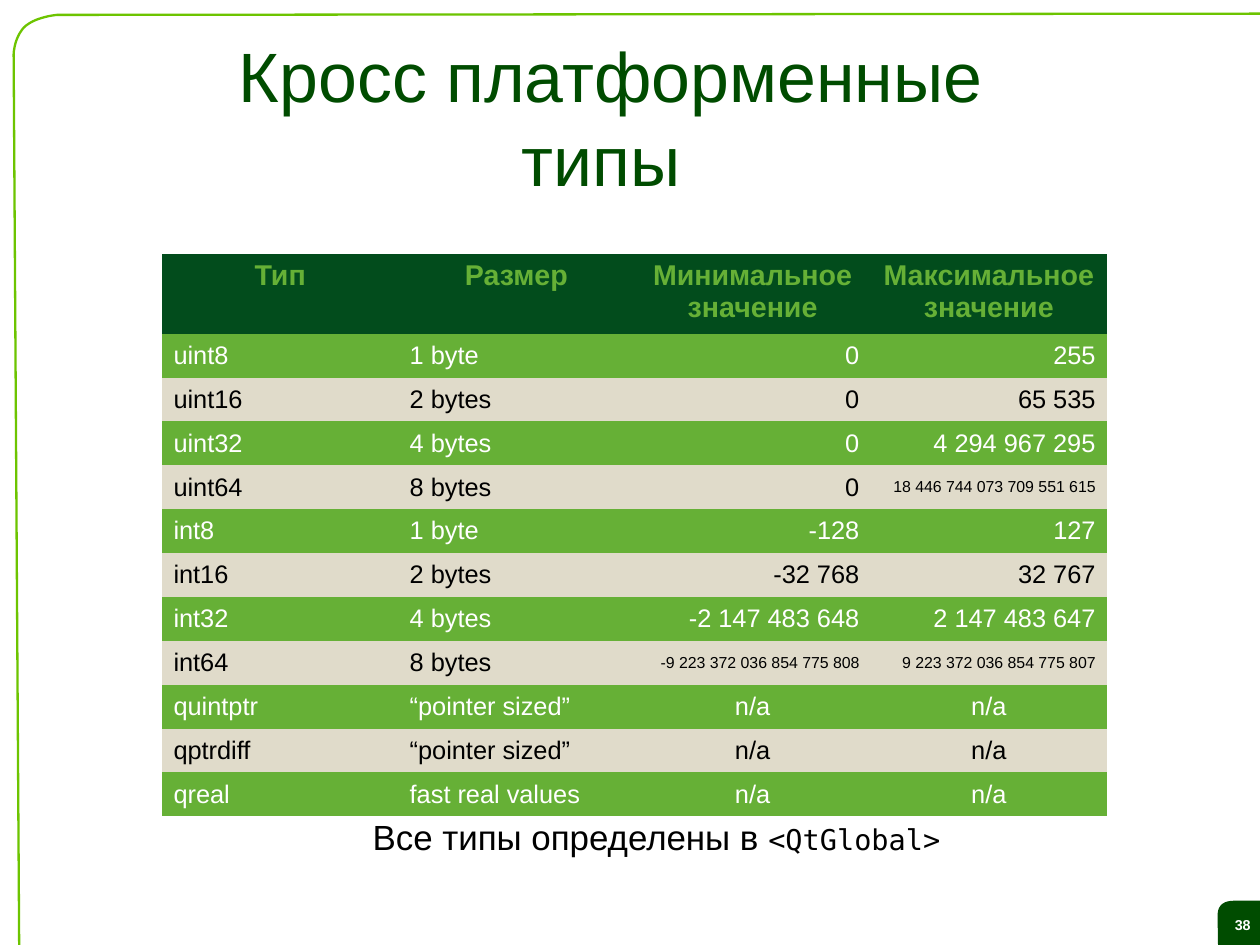
from pptx import Presentation
from pptx.dml.color import RGBColor
from pptx.enum.text import MSO_ANCHOR, MSO_AUTO_SIZE, PP_ALIGN
from pptx.oxml.ns import qn
from pptx.util import Pt

PINE = RGBColor(0x00, 0x4C, 0x00)
LIME = RGBColor(0x6D, 0xC4, 0x00)
DARK = RGBColor(0x02, 0x4C, 0x1C)
GREEN = RGBColor(0x66, 0xB0, 0x36)
SAND = RGBColor(0xE0, 0xDB, 0xCA)
WHITE = RGBColor(0xFF, 0xFF, 0xFF)
BLACK = RGBColor(0x00, 0x00, 0x00)
SANS, MONO = "Arial", "DejaVu Sans Mono"
LEFT, MID, RIGHT = PP_ALIGN.LEFT, PP_ALIGN.CENTER, PP_ALIGN.RIGHT

WIDE, HIGH = 793.7, 595.28
TITLE = " Кросс платформенные типы"
PAGE = "38"
HEADS = ("Тип", "Размер", "Минимальное значение", "Максимальное значение")
TYPES = (
    ("uint8", "1 byte", "0", "255"),
    ("uint16", "2 bytes", "0", "65 535"),
    ("uint32", "4 bytes", "0", "4 294 967 295"),
    ("uint64", "8 bytes", "0", "18 446 744 073 709 551 615"),
    ("int8", "1 byte", "-128", "127"),
    ("int16", "2 bytes", "-32 768", "32 767"),
    ("int32", "4 bytes", "-2 147 483 648", "2 147 483 647"),
    ("int64", "8 bytes", "-9 223 372 036 854 775 808", "9 223 372 036 854 775 807"),
    ("quintptr", "“pointer sized”", "n/a", "n/a"),
    ("qptrdiff", "“pointer sized”", "n/a", "n/a"),
    ("qreal", "fast real values", "n/a", "n/a"),
)
NOTE = ((" Все типы определены в ", 22, SANS), ("<QtGlobal>", 18, MONO))
TITLE_BOX = (120.8, 23.8, 516.2, 99.4)
TABLE_BOX = (102.1, 159.8, 595.2, 354.6)
NOTE_BOX = (170, 510.3, 481, 31.7)
HEAD_ROW, ROW = 50.4, 27.65


def add_run(para, text, size, color, font=SANS, bold=False):
    run = para.add_run()
    run.text = text
    run.font.size = Pt(size)
    run.font.name = font
    run.font.bold = bold
    run.font.color.rgb = color


def set_pads(item, left, top, right, base):
    item.margin_left, item.margin_top = Pt(left), Pt(top)
    item.margin_right, item.margin_bottom = Pt(right), Pt(base)


def place(shape, box):
    shape.left, shape.top, shape.width, shape.height = map(Pt, box)


def bend(start, pull, push, end, steps=16):
    for step in range(1, steps + 1):
        t = step / steps
        parts = ((1 - t) ** 3, 3 * t * (1 - t) ** 2, 3 * t * t * (1 - t), t ** 3)
        yield tuple(
            sum(w * v for w, v in zip(parts, axis))
            for axis in zip(start, pull, push, end)
        )


def draw(slide, points, close):
    spots = [(Pt(x), Pt(y)) for x, y in points]
    pen = slide.shapes.build_freeform(*spots[0])
    pen.add_line_segments(spots[1:], close=close)
    shape = pen.convert_to_shape()
    shape.shadow.inherit = False
    return shape


def add_badge(slide):
    curve = bend((767, 577), (767, 570), (771, 567.4), (777.6, 567.4))
    points = [(767.3, HIGH), (767, 577), *curve, (WIDE, 567.4), (WIDE, HIGH)]
    badge = draw(slide, points, True)
    badge.fill.solid()
    badge.fill.fore_color.rgb = PINE
    badge.line.fill.background()
    frame = badge.text_frame
    frame.word_wrap = False
    frame.vertical_anchor = MSO_ANCHOR.MIDDLE
    set_pads(frame, 5, 3, 0, 0)
    para = frame.paragraphs[0]
    para.alignment = MID
    add_run(para, PAGE, 9, WHITE, bold=True)


def add_frame(slide):
    points = [
        (WIDE, 8.6),
        (36, 9.4),
        *bend((36, 9.4), (35.3, 9.4), (21.6, 10.8), (15.1, 17.3)),
        *bend((15.1, 17.3), (8.6, 24.5), (8.6, 34.6), (8.6, 34.6)),
        (12.1, HIGH),
    ]
    edge = draw(slide, points, False)
    edge.fill.background()
    edge.line.color.rgb = LIME
    edge.line.width = Pt(1.45)


def add_title(slide):
    title = slide.shapes.title
    place(title, TITLE_BOX)
    frame = title.text_frame
    frame.word_wrap = True
    frame.auto_size = MSO_AUTO_SIZE.SHAPE_TO_FIT_TEXT
    frame.vertical_anchor = MSO_ANCHOR.MIDDLE
    set_pads(frame, 0, 0, 0, 0)
    para = frame.paragraphs[0]
    para.alignment = MID
    add_run(para, TITLE, 44, PINE)


def fill_cell(cell, text, fill, color, size, align, bold=False):
    cell.fill.solid()
    cell.fill.fore_color.rgb = fill
    side = 2.9 if bold else 7.2
    set_pads(cell, side, 3.6, side, 3.6)
    cell.vertical_anchor = MSO_ANCHOR.TOP if bold else MSO_ANCHOR.MIDDLE
    para = cell.text_frame.paragraphs[0]
    para.alignment = align
    add_run(para, text, size, color, bold=bold)


def add_types(slide):
    shape = slide.shapes.add_table(len(TYPES) + 1, len(HEADS), *map(Pt, TABLE_BOX))
    table = shape.table
    table.first_row = table.horz_banding = False
    style = table._tbl.tblPr.find(qn("a:tableStyleId"))
    style.text = "{2D5ABB26-0587-4C30-8999-92F81FD0307C}"
    for col in table.columns:
        col.width = Pt(TABLE_BOX[2] / len(HEADS))
    for i, row in enumerate(table.rows):
        row.height = Pt(ROW if i else HEAD_ROW)
    for j, head in enumerate(HEADS):
        fill_cell(table.cell(0, j), head, DARK, GREEN, 18, MID, True)
    for i, row in enumerate(TYPES, 1):
        fill, color = (GREEN, WHITE) if i % 2 else (SAND, BLACK)
        for j, text in enumerate(row):
            align = LEFT if j < 2 else MID if text == "n/a" else RIGHT
            size = 10 if len(text) > 20 else 16
            fill_cell(table.cell(i, j), text, fill, color, size, align)


def add_note(slide):
    box = slide.shapes.add_textbox(*map(Pt, NOTE_BOX))
    frame = box.text_frame
    frame.word_wrap = True
    set_pads(frame, 7.2, 3.6, 7.2, 3.6)
    para = frame.paragraphs[0]
    para.alignment = MID
    for text, size, font in NOTE:
        add_run(para, text, size, BLACK, font)


def main():
    deck = Presentation()
    deck.slide_width, deck.slide_height = Pt(WIDE), Pt(HIGH)
    slide = deck.slides.add_slide(deck.slide_layouts[5])
    add_badge(slide)
    add_frame(slide)
    add_title(slide)
    add_types(slide)
    add_note(slide)
    deck.save("out.pptx")


if __name__ == "__main__":
    main()
